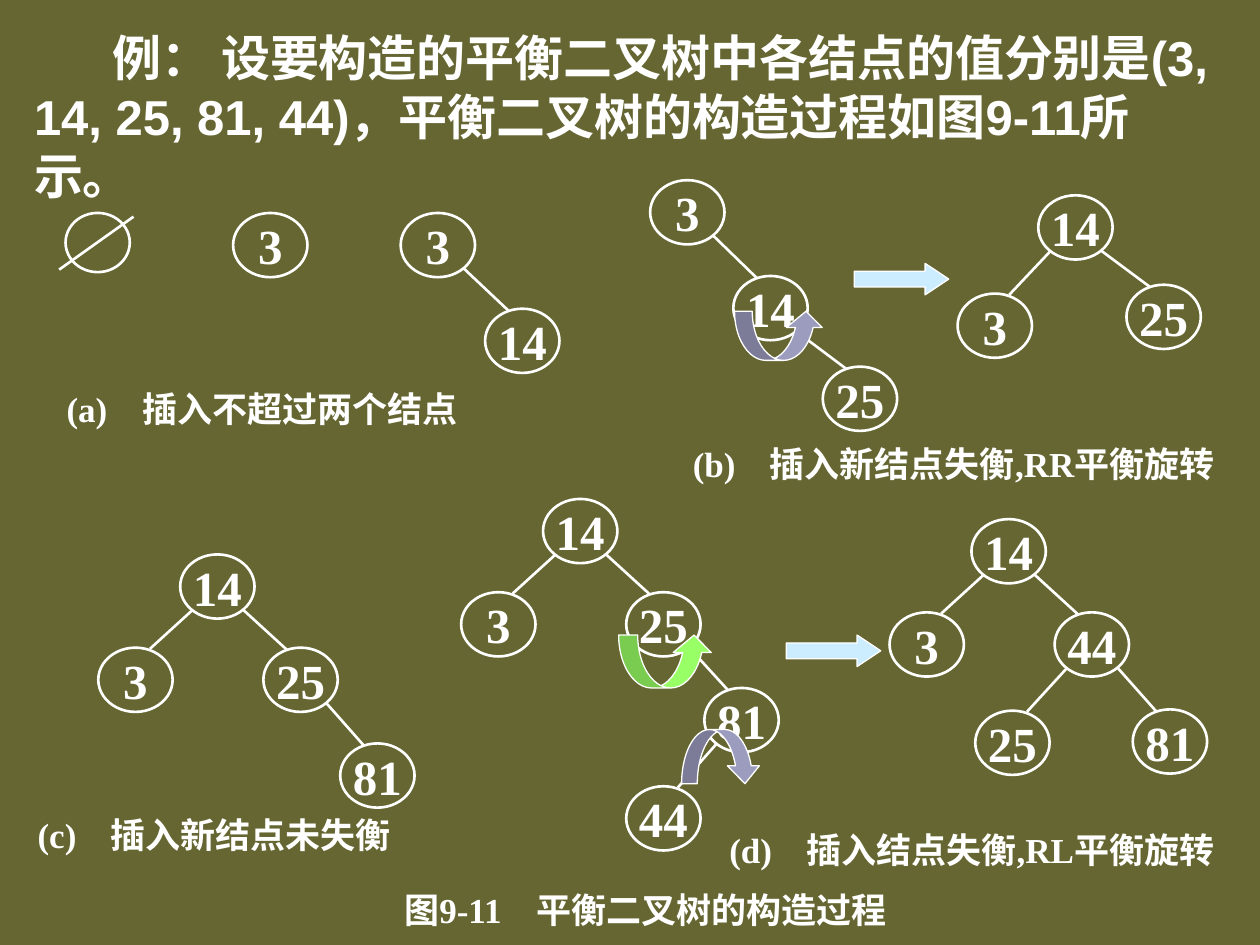
from lxml.etree import SubElement
from pptx import Presentation
from pptx.dml.color import RGBColor
from pptx.enum.shapes import MSO_CONNECTOR as LINK, MSO_SHAPE as KIND
from pptx.enum.text import MSO_ANCHOR as ANCHOR, MSO_AUTO_SIZE as FIT, PP_ALIGN as ALIGN
from pptx.oxml.ns import qn
from pptx.util import Inches, Pt

WHITE = "FFFFFF"


def paint(part, tint):
    if hasattr(part, "solid"):
        part.solid()
        part = part.fore_color
    part.rgb = RGBColor.from_string(tint)


def style(para, size, face):
    for run in para.runs:
        run.font.size = Pt(size)
        run.font.bold = True
        run.font.name = face
        paint(run.font.color, WHITE)
        SubElement(run.font._element, qn("a:ea"), typeface="Noto Sans CJK SC")


deck = Presentation()
deck.slide_width, deck.slide_height = Inches(10), Inches(7.5)
slide = deck.slides.add_slide(deck.slide_layouts[1])
paint(slide.background.fill, "666633")
shapes = slide.shapes
title = shapes.title._element
title.getparent().remove(title)

body = slide.placeholders[1]
body.left, body.top = Inches(0.17), Inches(0.17)
body.width, body.height = Inches(9.64), Inches(1.08)
frame = body.text_frame
frame.auto_size = FIT.NONE
frame.text = "例： 设要构造的平衡二叉树中各结点的值分别是(3, 14, 25, 81, 44)，平衡二叉树的构造过程如图9-11所示。"
para = frame.paragraphs[0]
para.space_before = Pt(0)
props = para._p.get_or_add_pPr()
props.set("marL", "0")
props.set("indent", str(Inches(0.62)))
props.set("hangingPunct", "0")
SubElement(props, qn("a:buNone"))
style(para, 28, "Arial")

# each node: label, left, top, index of its parent
trees = [
    [("3", 1.85, 1.69, None)],
    [("3", 3.18, 1.69, None), ("14", 3.85, 2.45, 0)],
    [("3", 5.16, 1.43, None), ("14", 5.82, 2.19, 0), ("25", 6.53, 2.91, 1)],
    [("14", 8.24, 1.55, None), ("3", 7.6, 2.33, 0), ("25", 8.94, 2.26, 0)],
    [("14", 1.43, 4.4, None), ("3", 0.78, 5.14, 0), ("25", 2.09, 5.14, 0),
     ("81", 2.7, 5.9, 2)],
    [("14", 4.31, 3.96, None), ("3", 3.66, 4.7, 0), ("25", 4.97, 4.7, 0),
     ("81", 5.59, 5.46, 2), ("44", 4.97, 6.24, 3)],
    [("14", 7.71, 4.12, None), ("3", 7.06, 4.86, 0), ("44", 8.37, 4.86, 0),
     ("25", 7.74, 5.64, 2), ("81", 8.99, 5.63, 2)],
]
nodes = [("", 0.52, 1.69, 0.51, 0.47)]
edges = [(1.06, 1.72, 0.47, 2.14)]
for tree in trees:
    for label, x, y, root in tree:
        nodes.append((label, x, y, 0.59, 0.51))
        if root is not None:
            px, py = tree[root][1:3]
            if x > px:
                edges.append((px + 0.5, py + 0.44, x + 0.19, y + 0.02))
            else:
                edges.append((px + 0.1, py + 0.44, x + 0.41, y + 0.01))

for label, *place in nodes:
    node = shapes.add_shape(KIND.OVAL, *map(Inches, place))
    node.shadow.inherit = False
    node.fill.background()
    paint(node.line.fill, WHITE)
    node.line.width = Pt(1.5)
    if label:
        frame = node.text_frame
        frame.word_wrap = False
        frame.vertical_anchor = ANCHOR.MIDDLE
        frame.text = label
        frame.paragraphs[0].alignment = ALIGN.CENTER
        style(frame.paragraphs[0], 28, "Times New Roman")

for ends in edges:
    edge = shapes.add_connector(LINK.STRAIGHT, *map(Inches, ends))
    paint(edge.line.fill, WHITE)
    edge.line.width = Pt(1.5)
    SubElement(edge._element.spPr, qn("a:effectLst"))

arrows = [
    (KIND.RIGHT_ARROW, "CCECFF", (6.78, 2.09, 0.75, 0.25), (0.5, 0.75)),
    (KIND.RIGHT_ARROW, "CCECFF", (6.24, 5.04, 0.75, 0.25), (0.5, 0.75)),
    (KIND.CURVED_UP_ARROW, "9C9CBE", (5.83, 2.47, 0.71, 0.39), (0.36, 0.73, 0.33)),
    (KIND.CURVED_DOWN_ARROW, "9C9CBE", (5.41, 5.79, 0.63, 0.43), (0.29, 0.59, 0.33)),
    (KIND.CURVED_UP_ARROW, "99FF66", (4.91, 5.04, 0.75, 0.42), (0.36, 0.72, 0.33)),
]
for kind, tint, place, bends in arrows:
    arrow = shapes.add_shape(kind, *map(Inches, place))
    arrow.shadow.inherit = False
    paint(arrow.fill, tint)
    paint(arrow.line.fill, WHITE)
    arrow.line.width = Pt(0.75)
    for i, bend in enumerate(bends):
        arrow.adjustments[i] = bend

notes = [
    ("(a)\t插入不超过两个结点", 0.43, 3.03, 3.6, 0.43, 0.6),
    ("(b)\t插入新结点失衡,RR平衡旋转", 5.4, 3.48, 4.6, 0.39, 0.61),
    ("(c)\t插入新结点未失衡", 0.2, 6.47, 3.4, 0.31, 0.58),
    ("(d)\t插入结点失衡,RL平衡旋转", 5.69, 6.54, 4.3, 0.4, 0.61),
    ("图9-11\t平衡二叉树的构造过程", 3.11, 7.06, 4.4, 0.32, 1.05),
]
for text, *place, stop in notes:
    frame = shapes.add_textbox(*map(Inches, place)).text_frame
    frame.auto_size = FIT.NONE
    frame.word_wrap = True
    frame.vertical_anchor = ANCHOR.MIDDLE
    frame.text = text
    para = frame.paragraphs[0]
    tabs = SubElement(para._p.get_or_add_pPr(), qn("a:tabLst"))
    SubElement(tabs, qn("a:tab"), pos=str(Inches(stop)), algn="l")
    style(para, 20, "Times New Roman")

deck.save("out.pptx")
